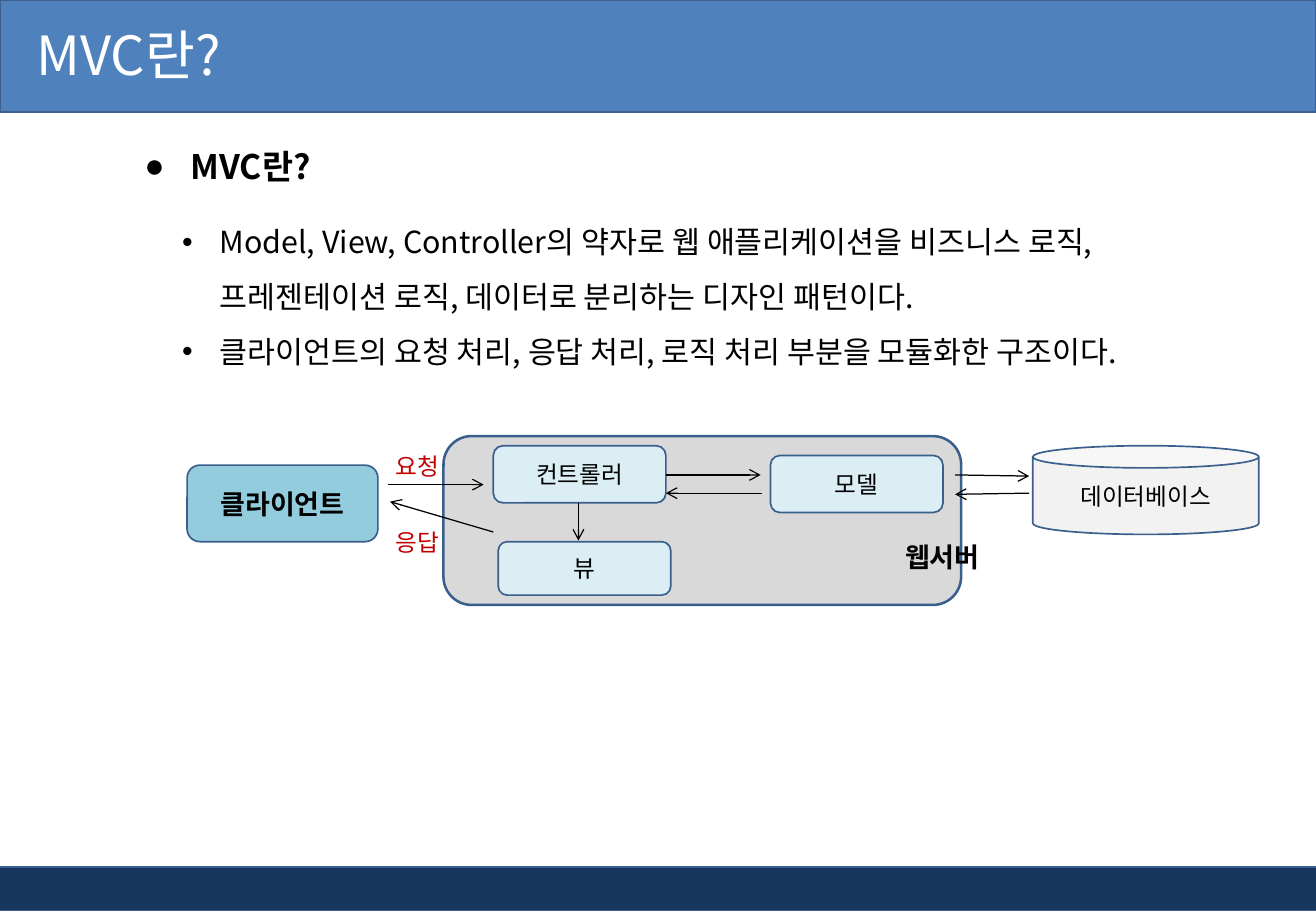
from lxml.etree import SubElement
from pptx import Presentation
from pptx.dml.color import RGBColor
from pptx.enum.shapes import MSO_CONNECTOR, MSO_SHAPE
from pptx.enum.text import MSO_ANCHOR, MSO_AUTO_SIZE, PP_ALIGN
from pptx.oxml.ns import qn
from pptx.util import Inches, Pt

FONT = "Noto Sans CJK KR"
BLACK = RGBColor(0x00, 0x00, 0x00)
WHITE = RGBColor(0xFF, 0xFF, 0xFF)
RED = RGBColor(0xC0, 0x00, 0x00)
NAVY = RGBColor(0x17, 0x37, 0x5E)
BLUE = RGBColor(0x4F, 0x81, 0xBD)
EDGE = RGBColor(0x3A, 0x5F, 0x8C)
GRAY = RGBColor(0xD9, 0xD9, 0xD9)
PALE = RGBColor(0xF2, 0xF2, 0xF2)
TEAL = RGBColor(0x93, 0xCD, 0xDD)
ICE = RGBColor(0xDB, 0xEE, 0xF4)

WIDTH, HEIGHT = 10.83, 7.5
PART = (1.42, 0.47)

ARROWS = [
    ((3.19, 3.99), (3.98, 3.99)),
    ((4.06, 4.38), (3.21, 4.13)),
    ((5.48, 3.91), (6.26, 3.91)),
    ((6.27, 4.06), (5.48, 4.06)),
    ((4.76, 4.14), (4.76, 4.45)),
    ((7.86, 3.91), (8.47, 3.92)),
    ((8.47, 4.06), (7.86, 4.07)),
]
POINTS = [
    "Model, View, Controller의 약자로 웹 애플리케이션을 비즈니스 로직, "
    "프레젠테이션 로직, 데이터로 분리하는 디자인 패턴이다.",
    "클라이언트의 요청 처리, 응답 처리, 로직 처리 부분을 모듈화한 구조이다.",
]


def assign(target, values):
    for name, value in values.items():
        setattr(target, name, value)


def write(para, text, size, color=BLACK, bold=False):
    run = para.add_run()
    run.text = text
    run.font.color.rgb = color
    assign(run.font, {"size": Pt(size), "bold": bold, "name": FONT})
    # Hangul takes its typeface from the East Asian slot
    SubElement(run.font._element, qn("a:ea"), typeface=FONT)


def add_bullet(para, mark, indent):
    props = para._p.get_or_add_pPr()
    props.set("marL", str(Inches(indent)))
    props.set("indent", str(-Inches(indent)))
    SubElement(props, qn("a:buFont"), typeface="Arial")
    SubElement(props, qn("a:buChar"), char=mark)


def add_box(slide, kind, box, fill, text="", size=14, bold=False, weight=1):
    shape = slide.shapes.add_shape(kind, *map(Inches, box))
    shape.shadow.inherit = False
    shape.fill.solid()
    shape.fill.fore_color.rgb = fill
    shape.line.color.rgb = EDGE
    shape.line.width = Pt(weight)
    if text:
        frame = shape.text_frame
        assign(frame, {"word_wrap": True, "vertical_anchor": MSO_ANCHOR.MIDDLE})
        para = frame.paragraphs[0]
        para.alignment = PP_ALIGN.CENTER
        write(para, text, size, bold=bold)


def add_text(slide, box, texts, size, color=BLACK, bold=False,
             mark=None, indent=0, spacing=None):
    frame = slide.shapes.add_textbox(*map(Inches, box)).text_frame
    assign(frame, {"word_wrap": True,
                   "auto_size": MSO_AUTO_SIZE.SHAPE_TO_FIT_TEXT})
    for index, text in enumerate(texts):
        para = frame.add_paragraph() if index else frame.paragraphs[0]
        if mark:
            add_bullet(para, mark, indent)
        if spacing:
            para.line_spacing = spacing
        write(para, text, size, color, bold)


def add_arrow(slide, start, end):
    ends = map(Inches, start + end)
    arrow = slide.shapes.add_connector(MSO_CONNECTOR.STRAIGHT, *ends)
    arrow.line.color.rgb = BLACK
    arrow.line.width = Pt(0.75)
    SubElement(arrow.line._get_or_add_ln(), qn("a:tailEnd"), type="arrow")
    SubElement(arrow._element.spPr, qn("a:effectLst"))


def add_title(slide, text):
    title = slide.shapes.title
    assign(title, {"left": Inches(0), "top": Inches(-0.03),
                   "width": Inches(8.74), "height": Inches(0.94)})
    frame = title.text_frame
    assign(frame, {"margin_left": Inches(0.3), "word_wrap": True,
                   "auto_size": MSO_AUTO_SIZE.NONE,
                   "vertical_anchor": MSO_ANCHOR.MIDDLE})
    para = frame.paragraphs[0]
    para.alignment = PP_ALIGN.LEFT
    write(para, text, 32, WHITE)
    # Lift the title above the header band
    slide.shapes._spTree.append(title._element)


def add_flow(slide):
    """Draw the client, the web server parts and the database."""
    round_box = MSO_SHAPE.ROUNDED_RECTANGLE
    add_box(slide, round_box, (3.65, 3.59, 4.26, 1.39), GRAY, weight=1.5)
    add_box(slide, MSO_SHAPE.CAN, (8.5, 3.67, 1.86, 0.73), PALE, "데이터베이스")
    add_box(slide, round_box, (1.54, 3.83, 1.57, 0.63), TEAL,
            "클라이언트", 16, True)
    add_box(slide, round_box, (4.06, 3.67, *PART), ICE, "컨트롤러")
    add_box(slide, round_box, (4.1, 4.46, 1.42, 0.44), ICE, "뷰")
    add_box(slide, round_box, (6.34, 3.75, *PART), ICE, "모델")
    for start, end in ARROWS:
        add_arrow(slide, start, end)
    add_text(slide, (7.35, 4.4, 1.02, 0.37), ["웹서버"], 16, bold=True)
    for top, label in ((3.67, "요청"), (4.3, "응답")):
        add_text(slide, (3.16, top, 0.79, 0.34), [label], 14, RED)


def main():
    deck = Presentation()
    assign(deck, {"slide_width": Inches(WIDTH), "slide_height": Inches(HEIGHT)})
    slide = deck.slides.add_slide(deck.slide_layouts[5])
    add_box(slide, MSO_SHAPE.RECTANGLE, (-0.04, 7.14, 10.88, 0.36), NAVY)
    add_box(slide, MSO_SHAPE.RECTANGLE, (0, 0, WIDTH, 0.92), BLUE)
    add_title(slide, "MVC란?")
    add_text(slide, (1.09, 1.15, 8.5, 0.44), ["MVC란?"], 20, bold=True,
             mark="●", indent=0.38)
    add_text(slide, (1.4, 1.64, 8.9, 1.46), POINTS, 18,
             mark="•", indent=0.31, spacing=1.5)
    add_flow(slide)
    deck.save("out.pptx")


if __name__ == "__main__":
    main()
